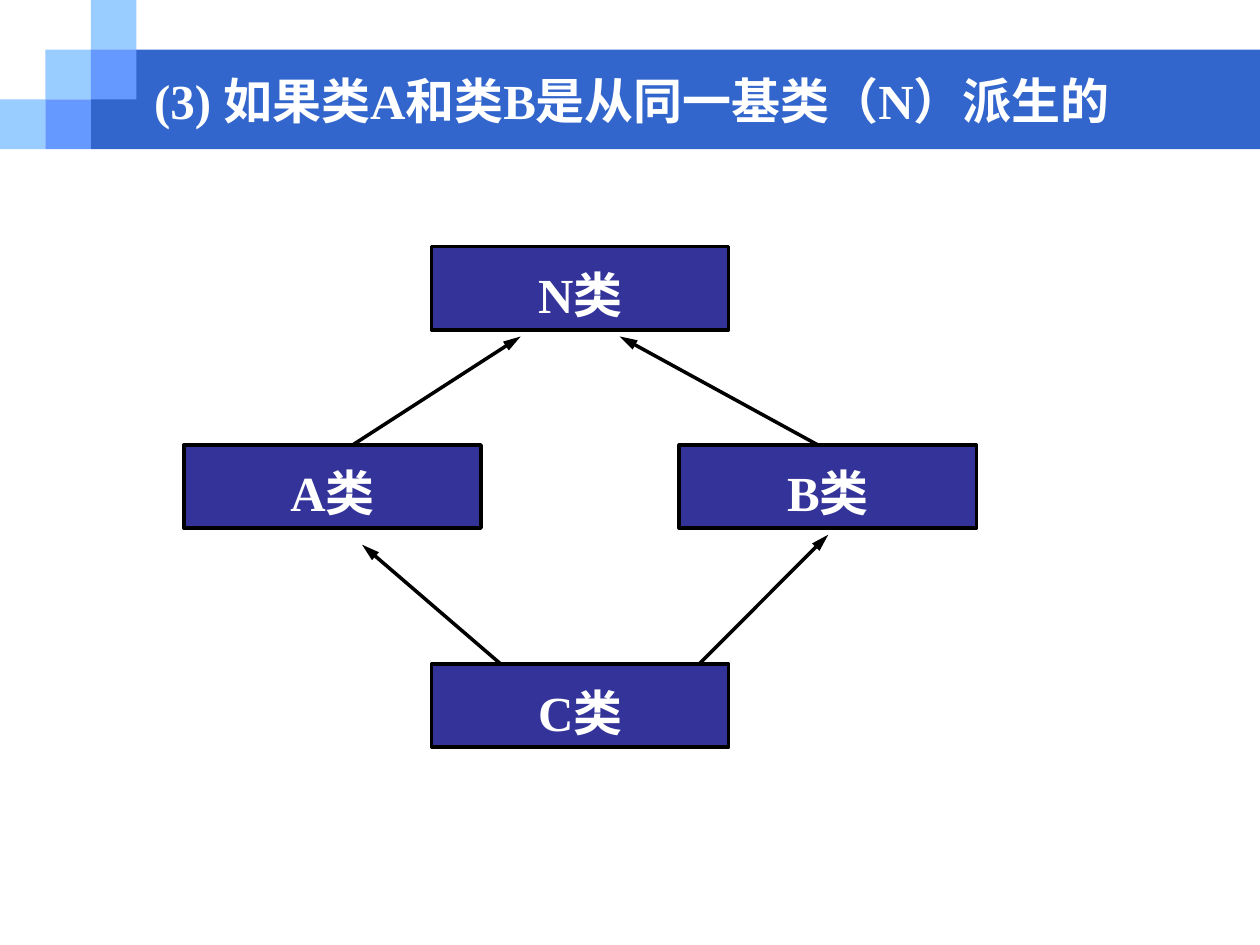
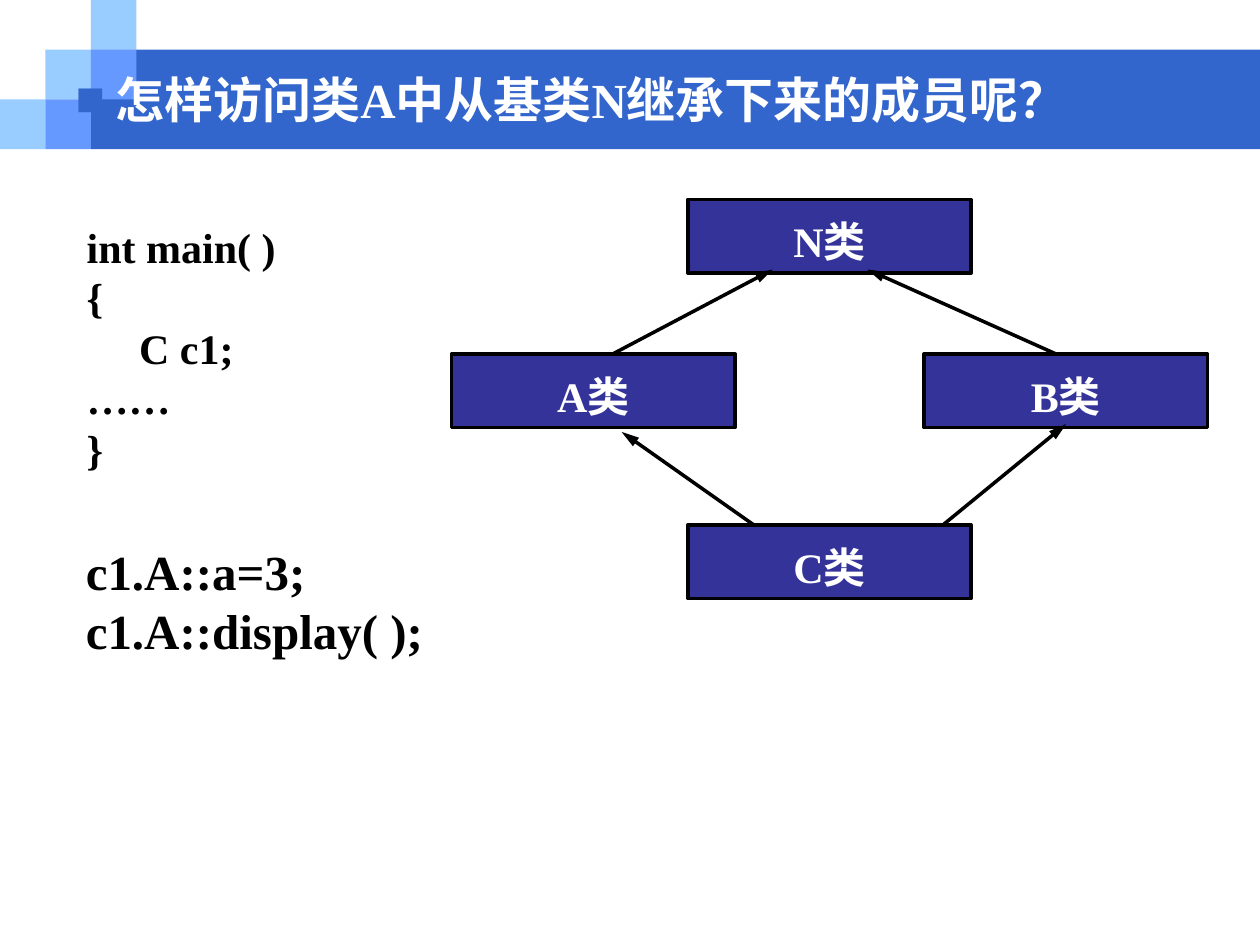
import lxml.etree
import pptx
import pptx.dml.color
import pptx.enum.shapes
import pptx.enum.text
import pptx.oxml.ns
import pptx.util

Pt = pptx.util.Pt
ALIGN = pptx.enum.text.PP_ALIGN
RECTANGLE = pptx.enum.shapes.MSO_SHAPE.RECTANGLE
BAND, PALE, MIDDLE, NODE = "3366CC", "99CCFF", "6699FF", "333399"
WHITE, BLACK = "FFFFFF", "000000"
COLUMN, ROW = 26, 28.4
NODE_SHARE = 0.375
NODES = {"N类": (0.5, 0), "A类": (0, 0.475), "B类": (1, 0.475), "C类": (0.5, 1)}
ARROWS = [
    ((0.213, 0.475), (0.425, 0.215)),
    ((0.8, 0.475), (0.55, 0.215)),
    ((0.4, 1), (0.225, 0.714)),
    ((0.65, 1), (0.813, 0.69)),
]


def color(value):
    """Turn a hex string into a colour."""
    return pptx.dml.color.RGBColor.from_string(value)


def add_element(parent, tag, **attributes):
    """Append a drawing element with its attributes."""
    return lxml.etree.SubElement(parent, pptx.oxml.ns.qn(tag), attributes)


def set_text(shape, lines, size, fill=BLACK, **paragraph_format):
    """Write formatted lines into a top-anchored shape."""
    frame = shape.text_frame
    frame_format = {
        "word_wrap": True,
        "auto_size": pptx.enum.text.MSO_AUTO_SIZE.NONE,
        "vertical_anchor": pptx.enum.text.MSO_ANCHOR.TOP,
    }
    for name, value in frame_format.items():
        setattr(frame, name, value)
    frame.text = "\n".join(lines)
    font_format = {"name": "Times New Roman", "size": Pt(size), "bold": True}
    for paragraph in frame.paragraphs:
        for name, value in paragraph_format.items():
            setattr(paragraph, name, value)
        for run in paragraph.runs:
            for name, value in font_format.items():
                setattr(run.font, name, value)
            run.font.color.rgb = color(fill)


def add_rectangle(shapes, box, fill, line=None):
    """Add a flat rectangle, outlined when a line colour is given."""
    shape = shapes.add_shape(RECTANGLE, *map(Pt, box))
    shape.shadow.inherit = False
    shape.fill.solid()
    shape.fill.fore_color.rgb = color(fill)
    if line:
        shape.line.color.rgb = color(line)
        shape.line.width = Pt(2)
    else:
        shape.line.fill.background()
    return shape


def add_arrow(shapes, start, end):
    """Add a black arrow from start to end."""
    connector = shapes.add_connector(
        pptx.enum.shapes.MSO_CONNECTOR.STRAIGHT, *map(Pt, start + end))
    connector.line.color.rgb = color(BLACK)
    connector.line.width = Pt(2)
    add_element(connector.line._get_or_add_ln(), "a:tailEnd",
                type="triangle", w="med", len="lg")
    add_element(connector.element.spPr, "a:effectLst")


def decorate_layout(layout, slide):
    """Draw the band and corner tiles, then move them into the layout."""
    tiles = [(0, 2, PALE), (1, 1, PALE), (2, 0, PALE),
             (2, 1, MIDDLE), (1, 2, MIDDLE)]
    parts = [add_rectangle(slide.shapes, (2 * COLUMN, ROW, 720 - 2 * COLUMN, 2 * ROW), BAND)]
    for column, row, fill in tiles:
        box = (column * COLUMN, row * ROW, COLUMN, ROW)
        parts.append(add_rectangle(slide.shapes, box, fill))
    for part in parts:
        layout.shapes.element.append(part.element)


def add_title(slide, box, text, **paragraph_format):
    """Place the white slide title in its placeholder."""
    title = slide.shapes.title
    for name, value in zip(("left", "top", "width", "height"), box):
        setattr(title, name, Pt(value))
    set_text(title, [text], 28, WHITE, **paragraph_format)
    return title


def add_title_bullet(title, indent):
    """Give the title a square bullet with a hanging indent."""
    properties = title.text_frame.paragraphs[0]._p.get_or_add_pPr()
    properties.set("marL", str(Pt(indent)))
    properties.set("indent", str(-Pt(indent)))
    bullet_color = add_element(properties, "a:buClr")
    add_element(bullet_color, "a:srgbClr", val=BAND)
    add_element(properties, "a:buFont", typeface="Times New Roman")
    add_element(properties, "a:buChar", char="■")


def add_code(slide, box, lines, size):
    """Add a block of code lines."""
    code = slide.shapes.add_textbox(*map(Pt, box))
    set_text(code, lines, size, alignment=ALIGN.LEFT)


def add_class_diagram(slide, box, node_height, size):
    """Draw the diamond of classes and its inheritance arrows in a box."""
    left, top, width, height = box
    shapes = slide.shapes.add_group_shape().shapes
    node_width = width * NODE_SHARE
    rise = height - node_height
    for label, (x, y) in NODES.items():
        node_box = (left + x * (width - node_width), top + y * rise,
                    node_width, node_height)
        node = add_rectangle(shapes, node_box, NODE, BLACK)
        set_text(node, [label], size, WHITE,
                 alignment=ALIGN.CENTER, line_spacing=1.2)
    for ends in ARROWS:
        start, end = [(left + x * width, top + y * rise) for x, y in ends]
        add_arrow(shapes, start, end)


def build_derivation_slide(slide):
    """Build the slide on two classes with one base class."""
    add_title(slide, (19.5, 30, 683, 47.5), "(3) 如果类A和类B是从同一基类（N）派生的",
              alignment=ALIGN.CENTER, line_spacing=1.2)
    add_class_diagram(slide, (105, 141, 453, 286), 47.5, 28)


def build_access_slide(slide):
    """Build the slide on reaching an inherited member."""
    title = add_title(slide, (36, 36, 646.5, 41), "怎样访问类A中从基类N继承下来的成员呢？",
                      alignment=ALIGN.LEFT)
    add_title_bullet(title, 23)
    add_code(slide, (42.5, 123, 340, 151),
             ["int main( )", "{", "     C c1;", "……", "}"], 24)
    add_code(slide, (42, 306, 232.5, 75), ["c1.A::a=3;", "c1.A::display( );"], 28)
    add_class_diagram(slide, (258, 114, 432, 228), 42, 24)


def main():
    """Build and save the presentation."""
    presentation = pptx.Presentation()
    presentation.slide_width, presentation.slide_height = Pt(720), Pt(540)
    layout = presentation.slide_layouts.get_by_name("Title Only")
    builders = (build_derivation_slide, build_access_slide)
    slides = [presentation.slides.add_slide(layout) for builder in builders]
    decorate_layout(layout, slides[0])
    for builder, slide in zip(builders, slides):
        builder(slide)
    presentation.save("out.pptx")


if __name__ == "__main__":
    main()
